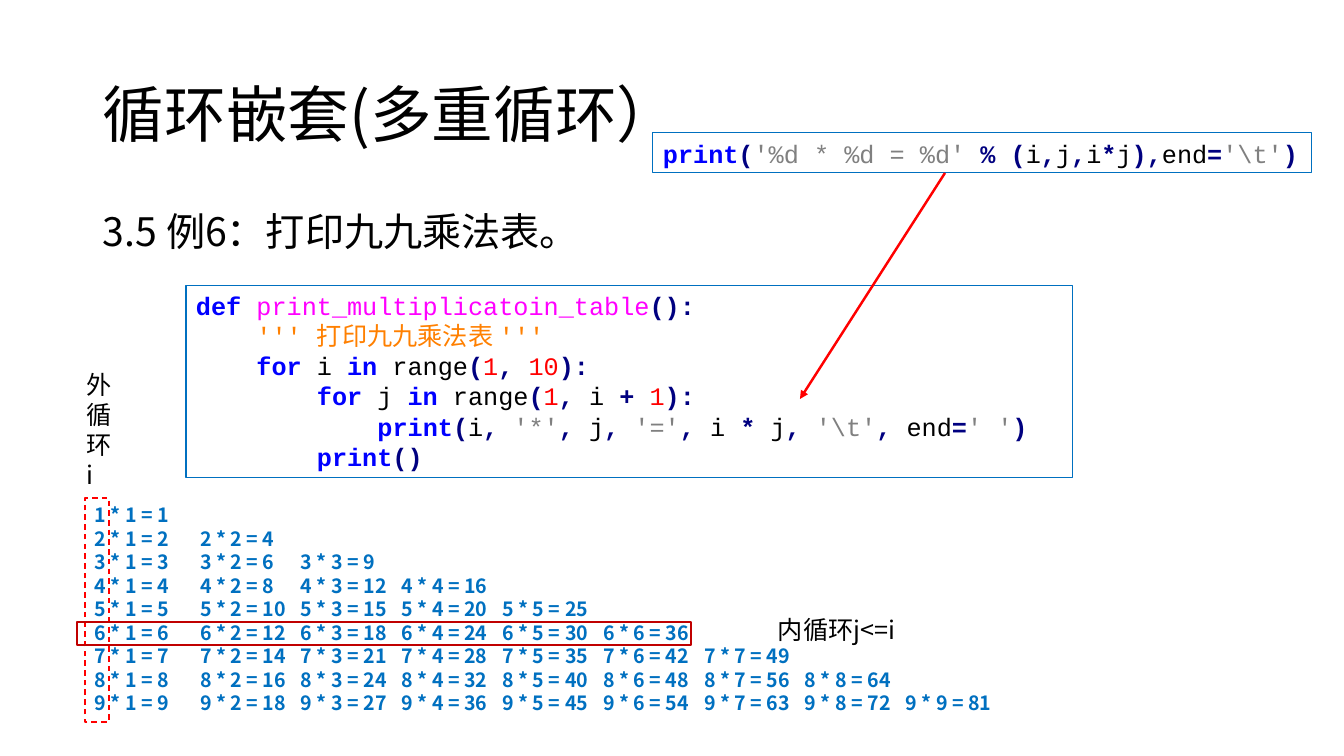
from pptx import Presentation
from pptx.util import Emu, Pt
from pptx.dml.color import RGBColor
from pptx.enum.dml import MSO_LINE
from pptx.enum.shapes import MSO_CONNECTOR as CONN, MSO_SHAPE as SHAPE
from pptx.enum.text import MSO_ANCHOR as ANCHOR, PP_ALIGN as ALIGN
from pptx.oxml import parse_xml
from pptx.oxml.ns import nsdecls, qn

PX = 9144000 / 1008
SANS, MONO = "Noto Sans CJK SC", "Courier New"
BLACK, BLUE, RED = "000000", "0070C0", "FF0000"

# Syntax colours: kind -> (colour, bold)
SYNTAX = {
    "key": ("0000FF", True), "op": ("000080", True), "name": (BLACK, False),
    "num": (RED, False), "str": ("808080", False), "def": ("FF00FF", False),
    "doc": ("FF8000", False),
}


def rgb(hex_color):
    """Turn a hex string into a colour."""
    return RGBColor.from_string(hex_color)


def write(sp, lines, size, font, wrap=True, anchor=ANCHOR.TOP):
    """Fill a shape with lines, each a list of (text, (colour, bold)) runs."""
    tf = sp.text_frame
    tf.word_wrap, tf.vertical_anchor = wrap, anchor
    for n, line in enumerate(lines):
        p = tf.add_paragraph() if n else tf.paragraphs[0]
        p.alignment, p.line_spacing = ALIGN.LEFT, Pt(size * 1.2)
        p._p.get_or_add_pPr().set("defTabSz", "914400")
        for text, (color, bold) in line:
            r = p.add_run()
            r.text = text
            for attr, value in {"name": font, "size": Pt(size), "bold": bold}.items():
                setattr(r.font, attr, value)
            r.font.color.rgb = rgb(color)
            r._r.get_or_add_rPr().append(
                parse_xml(f'<a:ea {nsdecls("a")} typeface="{SANS}"/>'))


prs = Presentation()
prs.slide_width, prs.slide_height = Emu(12192000), Emu(6858000)
s = prs.slides.add_slide(prs.slide_layouts[6])

# Plain text: box, lines, size, colour, bold, anchor
table = ["".join(f"{i} * {j} = {i * j} \t " for j in range(1, i + 1))
         for i in range(1, 10)]
texts = [
    ((93, 40, 1159, 146), ["循环嵌套(多重循环）"], 44, BLACK, False, ANCHOR.MIDDLE),
    ((93, 202, 1159, 85), ["3.5 例6：打印九九乘法表。"], 28, BLACK, False, ANCHOR.TOP),
    ((85, 498, 968, 224), table, 14, BLUE, True, ANCHOR.TOP),
    ((77, 364, 66, 132), ["外循环", "i"], 18, BLACK, False, ANCHOR.TOP),
    ((768, 609, 163, 40), ["内循环j<=i "], 18, BLACK, False, ANCHOR.TOP),
]
for box, lines, size, color, bold, anchor in texts:
    sp = s.shapes.add_textbox(*[Emu(round(v * PX)) for v in box])
    write(sp, [[(text, (color, bold))] for text in lines], size, SANS, anchor=anchor)

# Code: each line is a list of (kind, text) tokens
function_code = [
    [("key", "def "), ("def", "print_multiplicatoin_table"), ("op", "(): ")],
    [("name", "    "), ("doc", "''' 打印九九乘法表 ''' ")],
    [("name", "    "), ("key", "for "), ("name", "i "), ("key", "in"),
     ("name", " range"), ("op", "("), ("num", "1"), ("op", ", "),
     ("num", "10"), ("op", "):")],
    [("name", "        "), ("key", "for"), ("name", " j "), ("key", "in"),
     ("name", " range"), ("op", "("), ("num", "1"), ("op", ", "),
     ("name", "i "), ("op", "+ "), ("num", "1"), ("op", "):")],
    [("name", "            "), ("key", "print"), ("op", "("), ("name", "i"),
     ("op", ", "), ("str", "'*'"), ("op", ","), ("name", " j"), ("op", ", "),
     ("str", "'='"), ("op", ", "), ("name", "i "), ("op", "*"), ("name", " j"),
     ("op", ", "), ("str", "'\\t'"), ("op", ","), ("name", " end"),
     ("op", "="), ("str", "' '"), ("op", ")")],
    [("name", "        "), ("key", "print"), ("op", "()")],
]
format_code = [
    [("key", "print"), ("op", "("), ("str", "'%d * %d = %d' "), ("op", "% ("),
     ("name", "i"), ("op", ","), ("name", "j"), ("op", ","), ("name", "i"),
     ("op", "*"), ("name", "j"), ("op", "),"), ("name", "end"), ("op", "="),
     ("str", "'\\t'"), ("op", ")")],
]

# Outlined boxes: box, line colour, width, dash, code, wrap
frames = [
    ((186, 285, 887, 193), BLUE, 0.75, None, function_code, True),
    ((653, 133, 659, 40), BLUE, 0.75, None, format_code, False),
    ((85, 498, 24, 224), RED, 1, MSO_LINE.DASH, [], True),
    ((77, 622, 614, 23), "C00000", 1, None, [], True),
]
for box, color, width, dash, code, wrap in frames:
    sp = s.shapes.add_shape(SHAPE.RECTANGLE, *[Emu(round(v * PX)) for v in box])
    sp.shadow.inherit = False
    sp.fill.background()
    sp.line.color.rgb = rgb(color)
    sp.line.width, sp.line.dash_style = Pt(width), dash
    write(sp, [[(text, SYNTAX[kind]) for kind, text in line] for line in code],
          18, MONO, wrap)

# Arrow from the formatted print to the print call
arrow = s.shapes.add_connector(
    CONN.STRAIGHT, *[Emu(round(v * PX)) for v in (945, 173, 800, 399)])
arrow.line.color.rgb = rgb(RED)
arrow.line.width = Pt(1.75)
arrow.line._get_or_add_ln().append(
    parse_xml(f'<a:tailEnd {nsdecls("a")} type="triangle"/>'))
arrow._element.find(qn("p:spPr")).append(
    parse_xml(f'<a:effectLst {nsdecls("a")}/>'))

prs.save("out.pptx")
